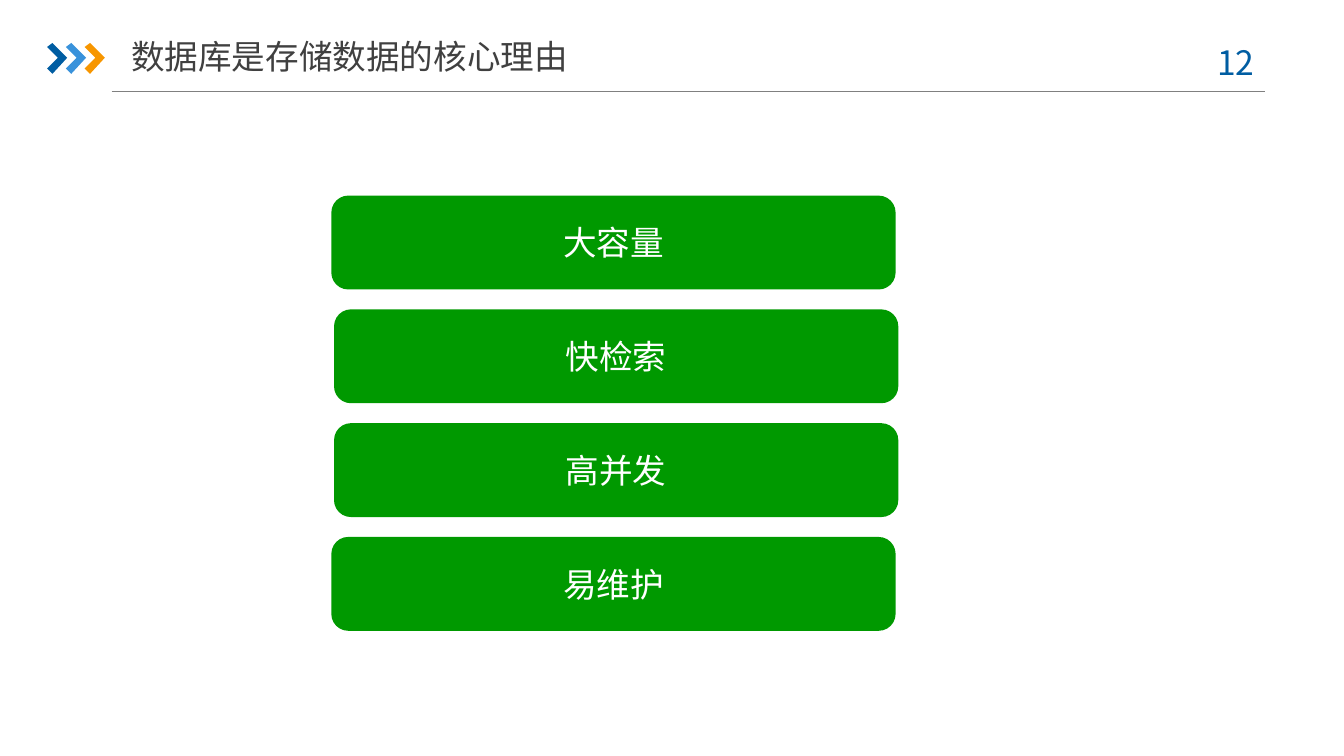
from lxml.etree import SubElement
from pptx import Presentation
from pptx.dml.color import RGBColor
from pptx.enum.shapes import MSO_CONNECTOR as Connector, MSO_SHAPE as Shape
from pptx.enum.text import MSO_ANCHOR as Anchor, PP_ALIGN as Align
from pptx.oxml.ns import qn
from pptx.util import Inches, Pt

# Content
TITLE = "数据库是存储数据的核心理由"
PAGE_NUMBER = "12 "
# Each reason with its column: the outer two sit slightly further left
REASONS = [("大容量", "outer"), ("快检索", "inner"), ("高并发", "inner"), ("易维护", "outer")]

# Style
FONT = "Noto Sans CJK SC"
COLORS = {
    "navy": "005DA2", "sky": "3992DB", "orange": "F79600",
    "rule": "808080", "title": "404040", "green": "009900", "white": "FFFFFF",
}

# Layout in inches, on a 16:9 slide
WIDTH = 10
HEIGHT = WIDTH * 9 / 16
MARGIN_LEFT, MARGIN_RIGHT, RULE_TOP = 0.83, 9.41, 0.68
CHEVRON_LEFT, CHEVRON_TOP, CHEVRON_PITCH = 0.35, 0.32, 0.14
CHEVRON = [(0, 0.03), (0.04, 0), (0.15, 0.11), (0.04, 0.23), (0, 0.19), (0.08, 0.11)]
COLUMNS = {"outer": 2.48, "inner": 2.5}
FIRST_ROW, LAST_ROW = 1.47, 4.01
ROW_PITCH = (LAST_ROW - FIRST_ROW) / (len(REASONS) - 1)
BAR_WIDTH, BAR_HEIGHT = 4.17, 0.67


def color(key):
    return RGBColor.from_string(COLORS[key])


def write(shape, text, ink, anchor=Anchor.MIDDLE):
    frame = shape.text_frame
    frame.word_wrap = True
    frame.vertical_anchor = anchor
    paragraph = frame.paragraphs[0]
    paragraph.text = text
    paragraph.alignment = Align.CENTER
    paragraph.font.size = Pt(18)
    paragraph.font.name = FONT
    paragraph.font.color.rgb = color(ink)
    # Chinese characters take the East Asian typeface
    defaults = paragraph._p.pPr.find(qn("a:defRPr"))
    SubElement(defaults, qn("a:ea")).set("typeface", FONT)
    return frame


deck = Presentation()
deck.slide_width, deck.slide_height = Inches(WIDTH), Inches(HEIGHT)
slide = deck.slides.add_slide(deck.slide_layouts[6])
shapes = slide.shapes

# Header rule
rule = shapes.add_connector(Connector.STRAIGHT, Inches(MARGIN_LEFT), Inches(RULE_TOP),
                            Inches(MARGIN_RIGHT), Inches(RULE_TOP))
rule.line.color.rgb = color("rule")
rule.line.width = Pt(0.75)
SubElement(rule._element.spPr, qn("a:effectLst"))

# Header chevrons
for index, tint in enumerate(["navy", "sky", "orange"]):
    left = CHEVRON_LEFT + index * CHEVRON_PITCH
    start, *corners = [(Inches(left + x), Inches(CHEVRON_TOP + y)) for x, y in CHEVRON]
    outline = shapes.build_freeform(*start)
    outline.add_line_segments(corners, close=True)
    chevron = outline.convert_to_shape()
    chevron.shadow.inherit = False
    chevron.fill.solid()
    chevron.fill.fore_color.rgb = color(tint)
    chevron.line.fill.background()

# Page number and title
page_number = shapes.add_textbox(Inches(8.86), Inches(0.26), Inches(0.73), Inches(0.4))
write(page_number, PAGE_NUMBER, "navy", Anchor.TOP)
title = shapes.add_textbox(Inches(MARGIN_LEFT), Inches(0.21), Inches(3.54), Inches(0.42))
title_frame = write(title, TITLE, "title")
title_frame.margin_left = title_frame.margin_right = 0

# Reason bars
for row, (reason, column) in enumerate(REASONS):
    bar = shapes.add_shape(Shape.ROUNDED_RECTANGLE, Inches(COLUMNS[column]),
                           Inches(FIRST_ROW + row * ROW_PITCH),
                           Inches(BAR_WIDTH), Inches(BAR_HEIGHT))
    bar.shadow.inherit = False
    bar.fill.solid()
    bar.fill.fore_color.rgb = color("green")
    bar.line.color.rgb = color("green")
    bar.line.width = Pt(2)
    write(bar, reason, "white")

deck.save("out.pptx")
